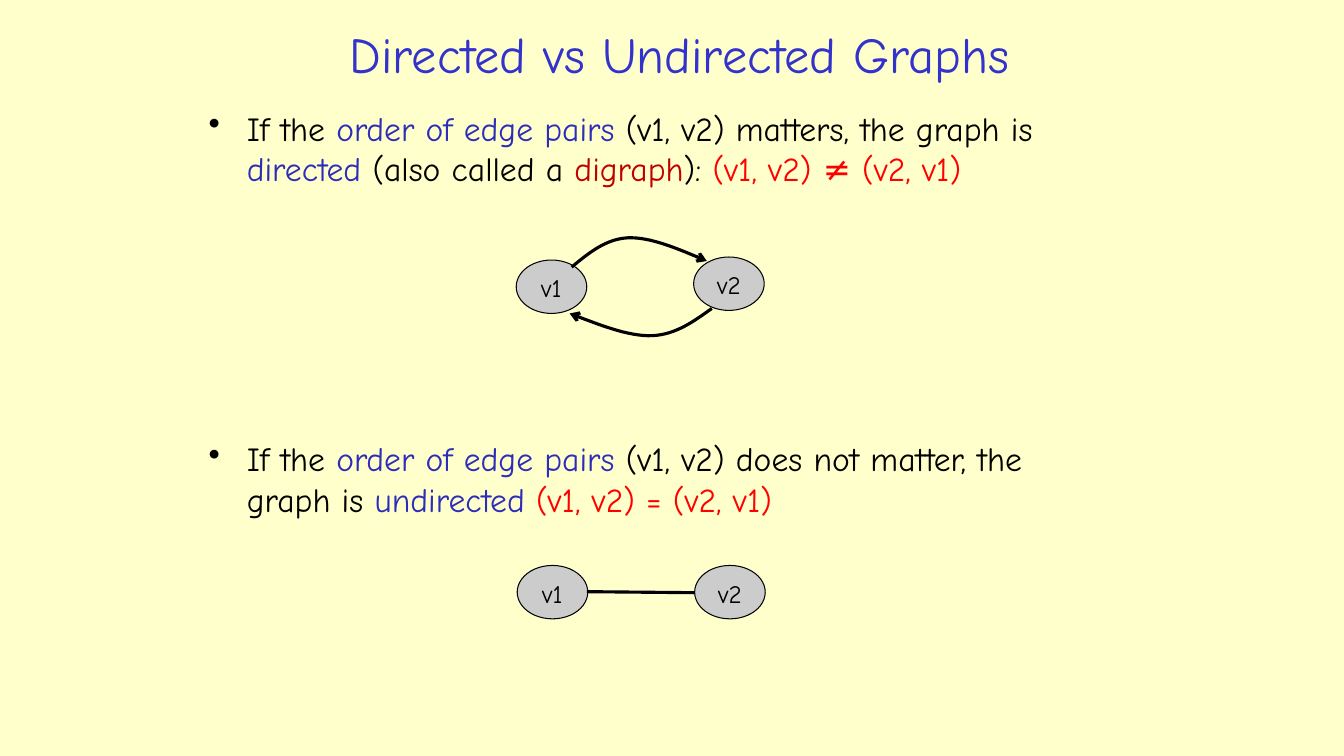
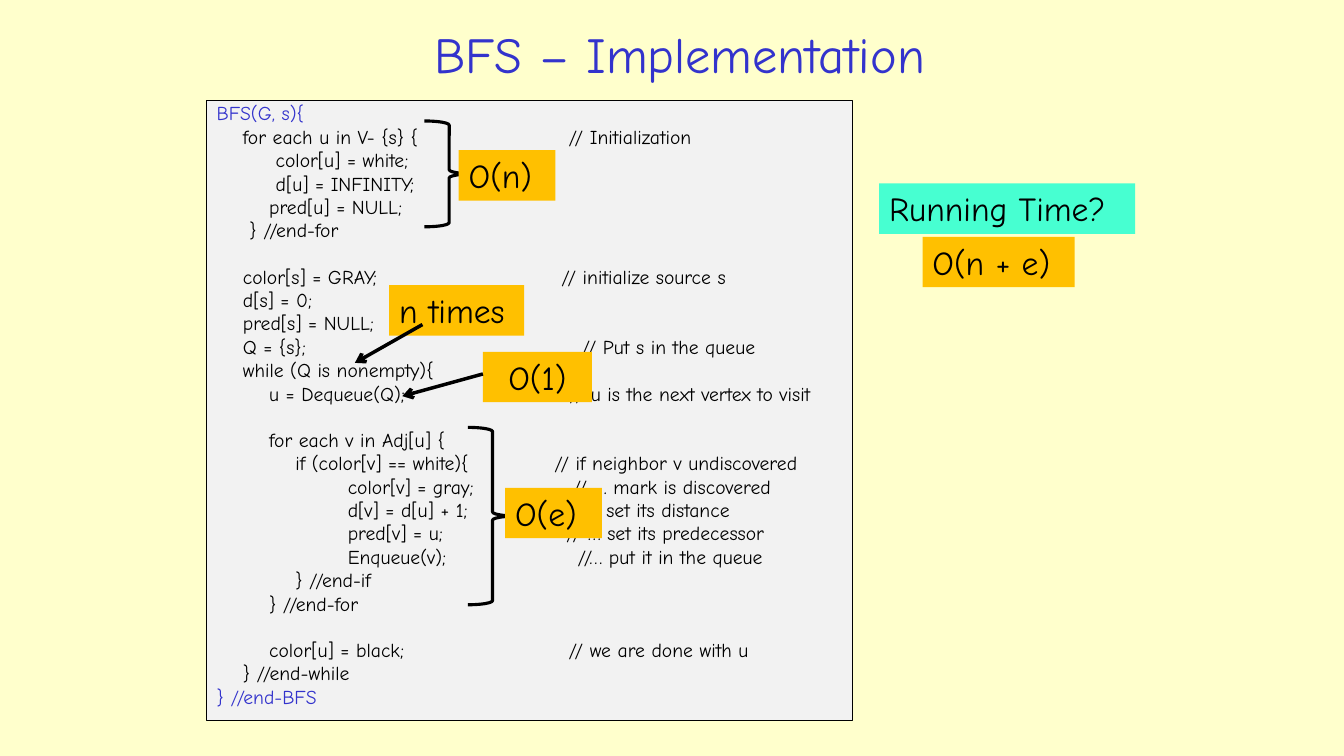
import lxml.etree
import pptx
import pptx.dml.color
import pptx.enum.shapes
import pptx.enum.text
import pptx.oxml.ns
import pptx.util

Inches, Pt = pptx.util.Inches, pptx.util.Pt
RGBColor = pptx.dml.color.RGBColor
SHAPE = pptx.enum.shapes.MSO_SHAPE
ALIGN = pptx.enum.text.PP_ALIGN
ANCHOR = pptx.enum.text.MSO_ANCHOR
STRAIGHT = pptx.enum.shapes.MSO_CONNECTOR.STRAIGHT
qn = pptx.oxml.ns.qn

FONT = "Comic Neue"
CREAM = RGBColor(0xFF, 0xFF, 0xCC)
BLUE = RGBColor(0x33, 0x33, 0xCC)
NAVY = RGBColor(0x2D, 0x2D, 0xB9)
BLACK = RGBColor(0, 0, 0)
RED = RGBColor(0xFF, 0, 0)
WINE = RGBColor(0xC0, 0, 0)
GRAY = RGBColor(0xCC, 0xCC, 0xCC)
PALE = RGBColor(0xF2, 0xF2, 0xF2)
MINT = RGBColor(0x47, 0xFF, 0xD1)
AMBER = RGBColor(0xFF, 0xC0, 0)


def write(slide, box, paras, size=24, align=ALIGN.LEFT, anchor=ANCHOR.TOP,
          kind=None, fill=None, edge=False):
    """Add text, in a shape if kind is given; each paragraph is a list of (text, colour)."""
    place = [Inches(v) for v in box]
    if kind is None:
        item = slide.shapes.add_textbox(*place)
    else:
        item = slide.shapes.add_shape(kind, *place)
        item.shadow.inherit = False
        item.fill.solid()
        item.fill.fore_color.rgb = fill
        if edge:
            item.line.color.rgb = BLACK
            item.line.width = Pt(0.75)
        else:
            item.line.fill.background()
    frame = item.text_frame
    frame.word_wrap = True
    frame.vertical_anchor = anchor
    for i, runs in enumerate(paras):
        para = frame.add_paragraph() if i else frame.paragraphs[0]
        para.alignment = align
        for words, color in runs:
            run = para.add_run()
            run.text = words
            run.font.name = FONT
            run.font.size = Pt(size)
            run.font.color.rgb = color
    return frame


def stroke(item, width=2.25, head=False):
    """Draw the outline in black without shadow, with an arrowhead at its end if head."""
    item.line.color.rgb = BLACK
    item.line.width = Pt(width)
    props = item._element.spPr
    if head:
        lxml.etree.SubElement(props.find(qn("a:ln")), qn("a:tailEnd"), type="arrow")
    if props.find(qn("a:effectLst")) is None:
        lxml.etree.SubElement(props, qn("a:effectLst"))


deck = pptx.Presentation()
deck.slide_width, deck.slide_height = Inches(13.33), Inches(7.5)
back = deck.slide_master.background.fill
back.solid()
back.fore_color.rgb = CREAM

slides = []
for title in ("Directed vs Undirected Graphs", "BFS – Implementation"):
    slide = deck.slides.add_slide(deck.slide_layouts[6])
    write(slide, (1.97, 0.15, 9.54, 0.76), [[(title, BLUE)]], size=36,
          align=ALIGN.CENTER, anchor=ANCHOR.MIDDLE)
    slides.append(slide)
graph, code = slides

# Directed and undirected graphs
points = [
    (1.02, [("If the ", BLACK), ("order of edge pairs ", NAVY),
            ("(v1, v2) matters, the graph is ", BLACK), ("directed", NAVY),
            (" (also called a ", BLACK), ("digraph", WINE), ("): ", BLACK),
            ("(v1, v2) ≠ (v2, v1)", RED)]),
    (4.3, [("If the ", BLACK), ("order of edge pairs ", NAVY),
           ("(v1, v2) does not matter, the graph is ", BLACK),
           ("undirected ", NAVY), ("(v1, v2) = (v2, v1)", RED)]),
]
for top, runs in points:
    frame = write(graph, (1.97, top, 8.93, 1.04), [runs])
    props = frame.paragraphs[0]._p.get_or_add_pPr()
    props.set("marL", str(Inches(0.38)))
    props.set("indent", str(-Inches(0.38)))
    lxml.etree.SubElement(props, qn("a:buChar"), char="•")

nodes = [("v1", 5.12, 2.58), ("v2", 6.88, 2.55), ("v1", 5.13, 5.61), ("v2", 6.89, 5.61)]
for name, left, top in nodes:
    write(graph, (left, top, 0.7, 0.53), [[(name, BLACK)]], size=18,
          align=ALIGN.CENTER, kind=SHAPE.OVAL, fill=GRAY, edge=True)

# Each curve is a start point and two Bézier pieces that follow on
curves = [
    [(5.67, 2.65), (5.84, 2.51), (6.01, 2.37), (6.23, 2.36),
     (6.45, 2.35), (6.73, 2.47), (7.01, 2.59)],
    [(7.06, 3.06), (6.88, 3.19), (6.7, 3.32), (6.47, 3.33),
     (6.23, 3.34), (5.94, 3.22), (5.65, 3.11)],
]
STEPS = 16
for curve in curves:
    dots = []
    for first in (0, 3):
        a, b, c, d = curve[first:first + 4]
        for step in range(1, STEPS + 1):
            t = step / STEPS
            u = 1 - t
            dots.append([Inches(u**3 * a[k] + 3 * u * u * t * b[k]
                                + 3 * u * t * t * c[k] + t**3 * d[k]) for k in (0, 1)])
    pen = graph.shapes.build_freeform(Inches(curve[0][0]), Inches(curve[0][1]))
    pen.add_line_segments(dots, close=False)
    edge = pen.convert_to_shape()
    edge.fill.background()
    stroke(edge, head=True)

stroke(graph.shapes.add_connector(STRAIGHT, Inches(5.82), Inches(5.87),
                                  Inches(6.89), Inches(5.88)))

# BFS listing: code, then the comment and its tab stop; None leaves a gap
lines = [
    ("BFS(G, s){",),
    ("    for each u in V- {s} {", "// Initialization", 3.49),
    ("         color[u] = white;",),
    ("         d[u] = INFINITY;",),
    ("        pred[u] = NULL;",),
    ("     } //end-for",),
    None,
    ("    color[s] = GRAY;", "// initialize source s", 3.42),
    ("    d[s] = 0;",),
    ("    pred[s] = NULL;",),
    ("    Q = {s};", "// Put s in the queue", 3.62),
    ("    while (Q is nonempty){",),
    ("        u = Dequeue(Q);", "// u is the next vertex to visit", 3.5),
    None,
    ("        for each v in Adj[u] {",),
    ("            if (color[v] == white){", "// if neighbor v undiscovered", 3.35),
    ("                    color[v] = gray;", "// … mark is discovered", 3.53),
    ("                    d[v] = d[u] + 1;", "// … set its distance", 3.46),
    ("                    pred[v] = u;", "// … set its predecessor", 3.47),
    ("                    Enqueue(v);", "//… put it in the queue", 3.58),
    ("            } //end-if",),
    ("        } //end-for",),
    None,
    ("        color[u] = black;", "// we are done with u", 3.49),
    ("    } //end-while",),
    ("} //end-BFS",),
]
shown = [line for line in lines if line]
paras = [[("\t".join(line[:2]), BLUE if line in (shown[0], shown[-1]) else BLACK)]
         for line in shown]
frame = write(code, (2.05, 1, 6.41, 6.15), paras, size=14,
              kind=SHAPE.RECTANGLE, fill=PALE, edge=True)
rows = iter(frame.paragraphs)
space = 0
for line in lines:
    if line is None:
        space = 19.5
        continue
    para = next(rows)
    para.line_spacing = 0.8
    para.space_before = Pt(space)
    space = 3.3
    if len(line) > 1:
        tabs = lxml.etree.SubElement(para._p.get_or_add_pPr(), qn("a:tabLst"))
        lxml.etree.SubElement(tabs, qn("a:tab"), pos=str(Inches(line[2])), algn="l")

for left, top, height in ((4.21, 1.2, 1.05), (4.64, 4.24, 1.76)):
    brace = code.shapes.add_shape(SHAPE.RIGHT_BRACE, Inches(left), Inches(top),
                                  Inches(0.49), Inches(height))
    brace.fill.background()
    stroke(brace)

tags = [
    ("Running Time?", 8.72, 1.82, 2.54, MINT, ALIGN.LEFT),
    ("O(n + e)", 9.15, 2.35, 1.51, AMBER, ALIGN.LEFT),
    ("O(1)", 4.79, 3.49, 1.08, AMBER, ALIGN.CENTER),
    ("O(n)", 4.55, 1.49, 0.96, AMBER, ALIGN.LEFT),
    ("O(e)", 5.01, 4.84, 0.96, AMBER, ALIGN.LEFT),
    ("n times", 3.86, 2.83, 1.34, AMBER, ALIGN.LEFT),
]
for words, left, top, width, fill, align in tags:
    write(code, (left, top, width, 0.5), [[(words, BLACK)]], align=align,
          kind=SHAPE.RECTANGLE, fill=fill)

for ends in ((4.79, 3.71, 3.99, 3.93), (4.19, 3.22, 3.52, 3.6)):
    arrow = code.shapes.add_connector(STRAIGHT, *[Inches(v) for v in ends])
    stroke(arrow, width=2.5, head=True)

deck.save("out.pptx")
